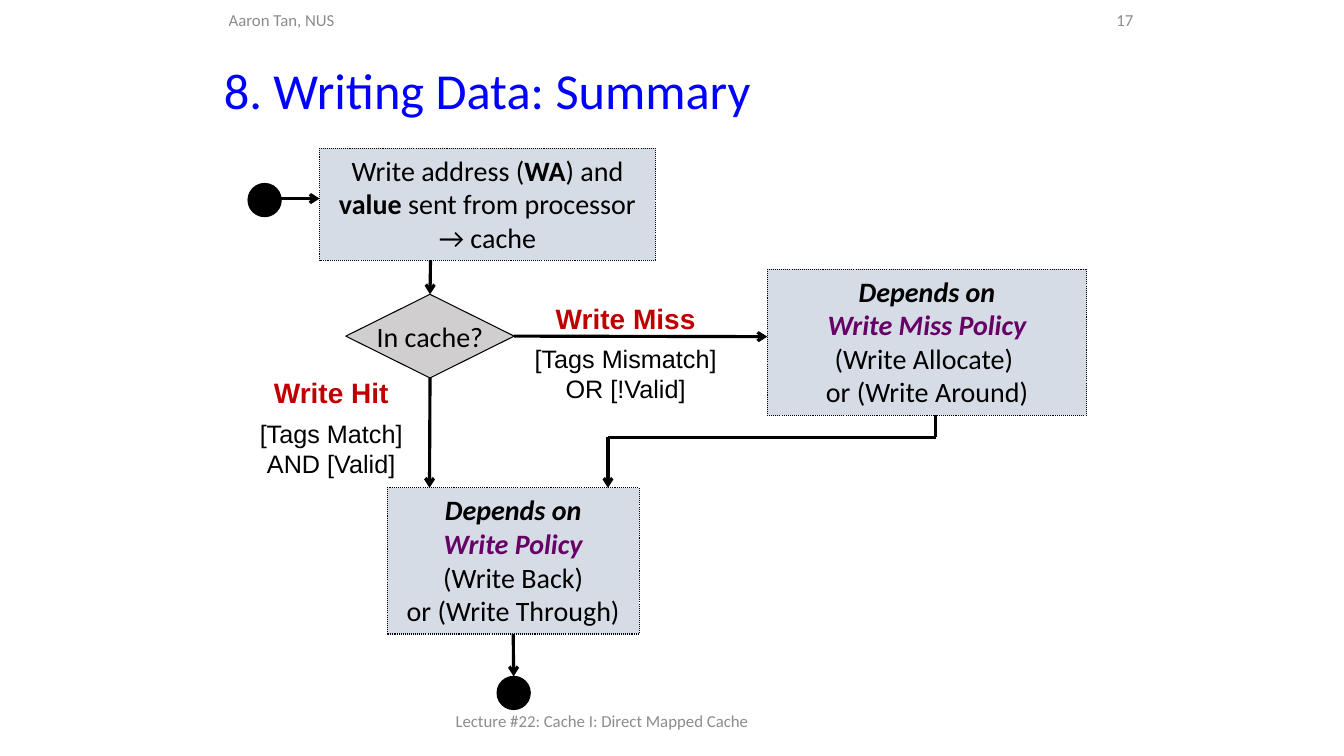
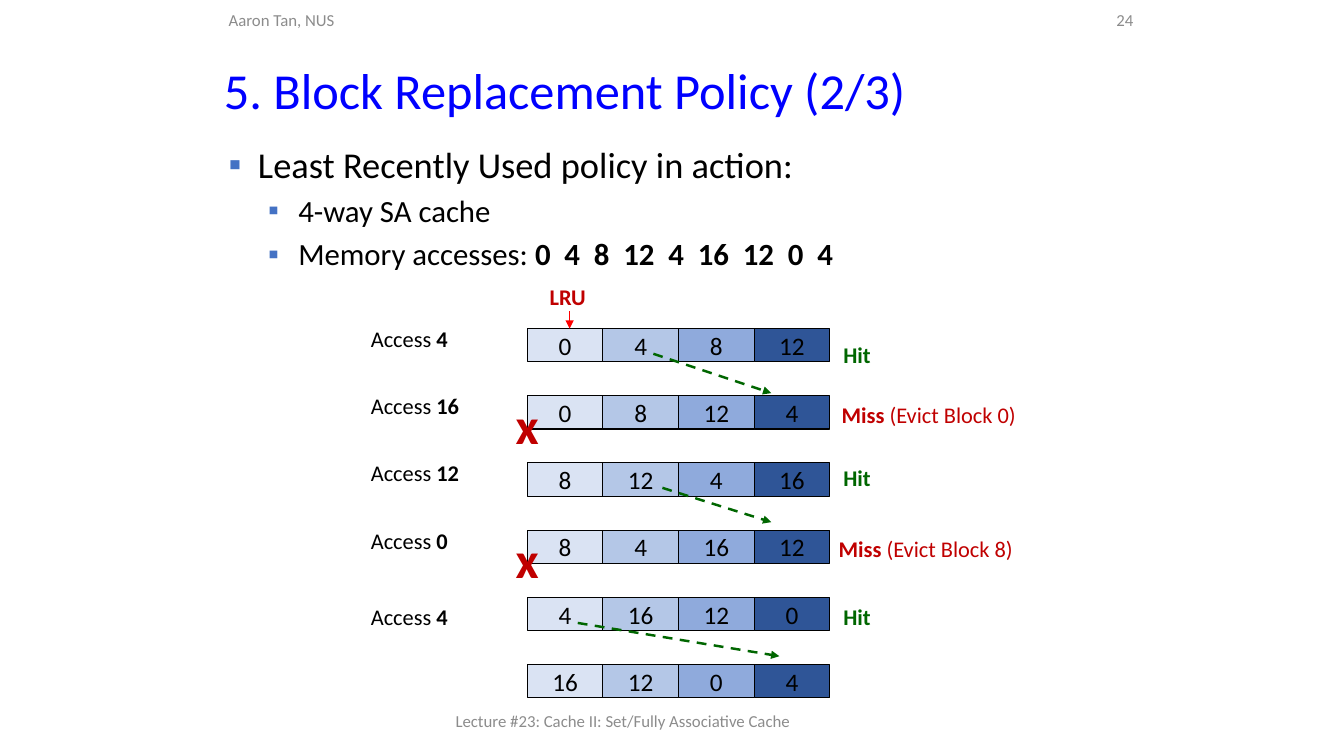
"""Builds two lecture slides: the cache write flowchart and the LRU example."""
from lxml.etree import SubElement
from pptx import Presentation
from pptx.dml.color import RGBColor
from pptx.enum.dml import MSO_LINE
from pptx.enum.shapes import MSO_CONNECTOR, MSO_SHAPE
from pptx.enum.text import MSO_ANCHOR, PP_ALIGN
from pptx.oxml.ns import qn
from pptx.util import Inches, Pt

BLACK, BLUE, GREY = "000000", "0000FF", "8C8C8C"
RED, GREEN, PURPLE = "C00000", "006600", "660066"
PALE, STONE, ACCENT = "D6DCE5", "D0CECE", "4472C4"
LEFT, MID, RIGHT = PP_ALIGN.LEFT, PP_ALIGN.CENTER, PP_ALIGN.RIGHT

HEADS = [
    ("8. Writing Data: Summary", "17", "Lecture #22: Cache I: Direct Mapped Cache"),
    ("5. Block Replacement Policy (2/3)", "24", "Lecture #23: Cache II: Set/Fully Associative Cache"),
]

STEPS = {
    "send": ((3.17, 1.47, 3.33, 1.11), [
        [("Write address (", ""), ("WA", "b"), (") and ", ""), ("value", "b"),
         (" sent from processor → cache", "")]]),
    "miss": ((7.61, 2.67, 3.17, 1.45), [
        [("Depends on", "bi")], [("Write Miss Policy", "bi", PURPLE)],
        [("(Write Allocate) ", "")], [("or (Write Around)", "")]]),
    "write": ((3.84, 4.84, 2.5, 1.45), [
        [("Depends on", "bi")], [("Write Policy", "bi", PURPLE)],
        [("(Write Back)", "")], [("or (Write Through)", "")]]),
}
DOTS = {"start": (2.46, 1.82, 0.33, 0.33), "end": (4.93, 6.71, 0.33, 0.33)}
TEST = (3.43, 2.92, 1.67, 0.83)
FLOWS = [
    ([(2.77, 1.97), (3.17, 1.97)], None, None),
    ([(4.27, 2.58), (4.27, 2.92)], None, ("test", 0)),
    ([(5.1, 3.34), (7.61, 3.34)], ("test", 3), None),
    ([(4.26, 3.75), (4.26, 4.84)], ("test", 2), None),
    ([(9.28, 4.12), (9.28, 4.34), (6.03, 4.34), (6.03, 4.84)], None, None),
    ([(5.09, 6.29), (5.09, 6.71)], ("write", 2), ("end", 0)),
]
CASES = [
    ((2.45, 3.68, 1.67, 1.13), "Write Hit", "[Tags Match] AND [Valid]"),
    ((5.12, 2.94, 2.17, 1.13), "Write Miss", "[Tags Mismatch] OR [!Valid]"),
]

POINTS = [
    (0, [("Least Recently Used policy in action:", "")]),
    (1, [("4-way SA cache", "")]),
    (1, [("Memory accesses: ", ""), ("0  4  8  12  4  16  12  0  4", "b")]),
]
LEVELS = [(26, 0.29, 0.29), (22, 0.69, 0.3)]
SHADES = ["DAE3F3", "B4C7E7", "8FAADC", "2F5597"]
SETS = [(0, 4, 8, 12), (0, 8, 12, 4), (8, 12, 4, 16),
        (8, 4, 16, 12), (4, 16, 12, 0), (16, 12, 0, 4)]
GRID_X, GRID_Y, CELL_W, CELL_H, PITCH = 5.23, 3.26, 0.75, 0.33, 2 / 3
ASKS = [("4", 3.18), ("16", 3.84), ("12", 4.51), ("0", 5.18), ("4", 5.93)]
HITS = [3.34, 4.56, 5.93]
MISSES = [(8.25, 3.93, "(Evict Block 0)"), (8.22, 5.26, "(Evict Block 8)")]
EVICTED = [1, 3]
MOVES = [((6.48, 3.51), (7.65, 3.9)), ((6.57, 4.84), (7.65, 5.18)),
         ((5.73, 6.18), (7.73, 6.51))]


def rgb(code):
    """Turn a hex string into a colour."""
    return RGBColor.from_string(code)


def place(shape, box):
    """Move a shape to a box given in inches."""
    shape.left, shape.top, shape.width, shape.height = map(Inches, box)


def style(run, size, color, marks="", font="Calibri"):
    """Format one run."""
    face = run.font
    face.name, face.size, face.color.rgb = font, Pt(size), rgb(color)
    face.bold, face.italic = "b" in marks, "i" in marks


def fill(par, runs, size, color=BLACK, align=LEFT, font="Calibri"):
    """Put runs of (text, marks, colour) into a paragraph."""
    par.alignment = align
    for text, marks, *own in runs:
        run = par.add_run()
        run.text = text
        style(run, size, own[0] if own else color, marks, font)


def write(shape, pars, size, color=BLACK, align=LEFT, anchor=MSO_ANCHOR.TOP, wrap=True):
    """Fill a shape with paragraphs of runs."""
    frame = shape.text_frame
    frame.word_wrap, frame.vertical_anchor = wrap, anchor
    for num, runs in enumerate(pars):
        par = frame.add_paragraph() if num else frame.paragraphs[0]
        fill(par, runs, size, color, align)


def label(slide, box, runs, size, color=BLACK, **look):
    """Add a one-paragraph text box."""
    write(slide.shapes.add_textbox(*map(Inches, box)), [runs], size, color, **look)


def block(slide, kind, box, color, dash=None):
    """Add a filled shape with a thin black line."""
    shape = slide.shapes.add_shape(kind, *map(Inches, box))
    shape.shadow.inherit = False
    shape.fill.solid()
    shape.fill.fore_color.rgb = rgb(color)
    shape.line.color.rgb = rgb(BLACK)
    shape.line.width = Pt(0.75)
    if dash:
        shape.line.dash_style = dash
    return shape


def link(slide, start, end, color, width, head=None, dash=None):
    """Add a straight line, with an arrowhead if one is named."""
    line = slide.shapes.add_connector(MSO_CONNECTOR.STRAIGHT, *map(Inches, start + end))
    line.line.color.rgb = rgb(color)
    line.line.width = Pt(width)
    if dash:
        line.line.dash_style = dash
    props = line.element.spPr
    if head:
        SubElement(props.find(qn("a:ln")), qn("a:tailEnd"), type=head)
    SubElement(props, qn("a:effectLst"))
    return line


def bullet(par, level):
    """Give a paragraph its indent and square bullet."""
    size, margin, hang = LEVELS[level]
    par.level = level
    props = par._p.get_or_add_pPr()
    props.set("marL", str(Inches(margin)))
    props.set("indent", str(-Inches(hang)))
    SubElement(SubElement(props, qn("a:buClr")), qn("a:srgbClr"), val=ACCENT)
    SubElement(props, qn("a:buFont"), typeface="Arial")
    SubElement(props, qn("a:buChar"), char="▪")
    return size


def begin(deck, head):
    """Add a slide with its title, author, number and footer."""
    name, number, foot = head
    slide = deck.slides.add_slide(deck.slide_layouts[5])
    title = slide.shapes.title
    place(title, (2.12, 0.57, 9.21, 0.7))
    write(title, [[(name, "")]], 36, BLUE, anchor=MSO_ANCHOR.MIDDLE)
    title.text_frame.paragraphs[0].line_spacing = 0.9
    for box, text, align in [((2.17, 0.02, 3.17, 0.36), "Aaron Tan, NUS", LEFT),
                             ((10.39, 0.02, 0.95, 0.36), number, RIGHT),
                             ((4.42, 6.95, 4.5, 0.4), foot, LEFT)]:
        label(slide, box, [(text, "")], 12, GREY, align=align, anchor=MSO_ANCHOR.MIDDLE)
    return slide


def draw_flow(slide):
    """Draw the write flowchart."""
    nodes = {}
    for name, box in DOTS.items():
        nodes[name] = block(slide, MSO_SHAPE.OVAL, box, BLACK)
    for name, (box, pars) in STEPS.items():
        nodes[name] = block(slide, MSO_SHAPE.RECTANGLE, box, PALE, MSO_LINE.ROUND_DOT)
        write(nodes[name], pars, 20, align=MID)
    nodes["test"] = block(slide, MSO_SHAPE.DIAMOND, TEST, STONE)
    write(nodes["test"], [[("In cache?", "")]], 20, align=MID,
          anchor=MSO_ANCHOR.MIDDLE, wrap=False)
    for route, source, target in FLOWS:
        for start, end in zip(route, route[1:]):
            line = link(slide, start, end, BLACK, 2.25, "arrow" if end == route[-1] else None)
        if source:
            line.begin_connect(nodes[source[0]], source[1])
        if target:
            line.end_connect(nodes[target[0]], target[1])
    for box, name, test in CASES:
        frame = slide.shapes.add_textbox(*map(Inches, box)).text_frame
        frame.word_wrap = True
        fill(frame.paragraphs[0], [(name, "b")], 20, RED, MID, "Arial")
        par = frame.add_paragraph()
        par.space_before = Pt(6)
        fill(par, [(test, "")], 18, BLACK, MID, "Arial")


def draw_lru(slide):
    """Draw the bullets and the LRU trace."""
    frame = slide.shapes.add_textbox(*map(Inches, (2.17, 1.36, 8.42, 1.67))).text_frame
    frame.word_wrap = True
    for num, (level, runs) in enumerate(POINTS):
        par = frame.add_paragraph() if num else frame.paragraphs[0]
        size = bullet(par, level)
        if num:
            par.space_before = Pt(size / 5)
        fill(par, runs, size)
    for row, items in enumerate(SETS):
        for col, (item, shade) in enumerate(zip(items, SHADES)):
            box = (GRID_X + col * CELL_W, GRID_Y + row * PITCH, CELL_W, CELL_H)
            cell = block(slide, MSO_SHAPE.RECTANGLE, box, shade)
            write(cell, [[(str(item), "")]], 18, align=MID,
                  anchor=MSO_ANCHOR.MIDDLE, wrap=False)
    label(slide, (5.3, 2.76, 0.66, 0.37), [("LRU", "b")], 16, RED, align=MID, wrap=False)
    link(slide, (5.65, 3.09), (5.65, GRID_Y), "FF0000", 0.75, "triangle")
    for item, top in ASKS:
        label(slide, (3.58, top, 1.09, 0.37), [("Access ", ""), (item, "b")], 16)
    for top in HITS:
        label(slide, (8.25, top, 0.5, 0.37), [("Hit", "b")], 16, GREEN, align=MID, wrap=False)
    for left, top, note in MISSES:
        label(slide, (left, top, 2.7, 0.37), [("Miss ", "b"), (note, "")], 16, RED)
    for row in EVICTED:
        box = (GRID_X - 0.25, GRID_Y + row * PITCH + 0.14, 0.5, 0.28)
        label(slide, box, [("x", "b")], 36, RED, align=MID, anchor=MSO_ANCHOR.MIDDLE)
    for start, end in MOVES:
        link(slide, start, end, GREEN, 1.75, "triangle", MSO_LINE.DASH)


def main():
    """Build and save the deck."""
    deck = Presentation()
    deck.slide_width, deck.slide_height = Inches(13.33), Inches(7.5)
    for head, draw in zip(HEADS, (draw_flow, draw_lru)):
        draw(begin(deck, head))
    deck.save("out.pptx")


if __name__ == "__main__":
    main()
